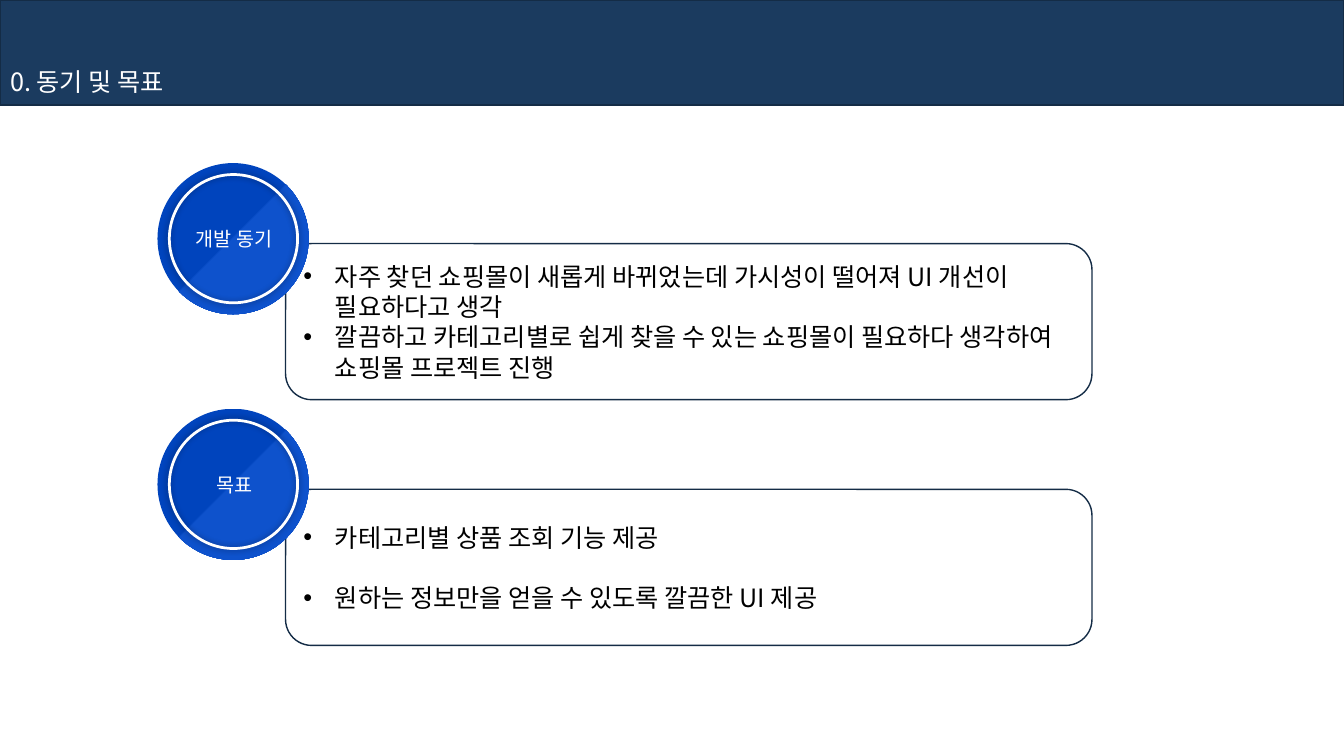
from copy import deepcopy

from lxml import etree
from pptx import Presentation
from pptx.dml.color import RGBColor
from pptx.enum.shapes import MSO_SHAPE as Shape
from pptx.enum.text import MSO_ANCHOR as Anchor, MSO_AUTO_SIZE as AutoSize, PP_ALIGN as Align
from pptx.oxml import parse_xml
from pptx.oxml.ns import nsdecls, qn
from pptx.util import Pt

FONT = "Noto Sans CJK KR"
NAVY = RGBColor(0x1B, 0x3B, 0x5F)
OUTLINE = RGBColor(0x14, 0x2C, 0x46)
BLUE = RGBColor(0x00, 0x44, 0xBD)
LIGHT_BLUE = RGBColor(0x0E, 0x52, 0xCC)
WHITE = RGBColor(0xFF, 0xFF, 0xFF)
BLACK = RGBColor(0x00, 0x00, 0x00)

BADGE_STOPS = [(0, BLUE), (0.49, BLUE), (0.5, LIGHT_BLUE), (1, LIGHT_BLUE)]
# Badge label, badge top, gap between items, items
SECTIONS = [
    ("개발 동기", 116.5, 0, [
        "자주 찾던 쇼핑몰이 새롭게 바뀌었는데 가시성이 떨어져 UI 개선이 필요하다고 생각",
        "깔끔하고 카테고리별로 쉽게 찾을 수 있는 쇼핑몰이 필요하다 생각하여 쇼핑몰 프로젝트 진행",
    ]),
    ("목표", 292, 21.5, [
        "카테고리별 상품 조회 기능 제공",
        "원하는 정보만을 얻을 수 있도록 깔끔한 UI 제공",
    ]),
]


def write_lines(holder, lines, size, color, align=Align.LEFT, gap=0):
    """Fill the holder with one paragraph per line, gap points apart."""
    frame = holder.text_frame
    frame.text = "\n".join(lines)
    frame.word_wrap = True
    frame.auto_size = AutoSize.NONE
    frame.vertical_anchor = Anchor.MIDDLE
    for index, para in enumerate(frame.paragraphs):
        para.alignment = align
        para.space_before = Pt(gap if index else 0)
        para.font.size = Pt(size)
        para.font.name = FONT
        para.font.color.rgb = color
        latin = para.font._element.find(qn("a:latin"))
        latin.addnext(parse_xml(f'<a:ea {nsdecls("a")} typeface="{FONT}"/>'))


def add_figure(kind, left, top, width, height):
    figure = slide.shapes.add_shape(kind, Pt(left), Pt(top), Pt(width), Pt(height))
    figure.shadow.inherit = False
    return figure


deck = Presentation()
deck.slide_width, deck.slide_height = Pt(960), Pt(540)
slide = deck.slides.add_slide(deck.slide_layouts.get_by_name("Two Content"))
title, *bodies = slide.placeholders

# Header band behind the title
band = add_figure(Shape.RECTANGLE, 0, 0, 960, 75)
band.fill.solid()
band.fill.fore_color.rgb = NAVY
band.line.color.rgb = OUTLINE
band.line.width = Pt(1)
title.element.addprevious(band.element)

title.left, title.top, title.width, title.height = Pt(0), Pt(44), Pt(347), Pt(29)
write_lines(title, ["0. 동기 및 목표"], 18, WHITE)

for body, (label, top, gap, items) in zip(bodies, SECTIONS):
    box_top = top + 57.5
    box = add_figure(Shape.ROUNDED_RECTANGLE, 204, box_top, 576, 111.5)
    box.fill.background()
    box.line.color.rgb = OUTLINE
    box.line.width = Pt(1)

    body.left, body.top, body.width, body.height = Pt(209.5), Pt(box_top), Pt(565), Pt(111.5)
    write_lines(body, items, 18, BLACK, gap=gap)
    for para in body.text_frame.paragraphs:
        properties = para._p.get_or_add_pPr()
        properties.set("marL", str(Pt(22.5)))
        properties.set("indent", str(-Pt(22.5)))
        bullet = etree.Element(qn("a:buChar"), char="•")
        properties.find(qn("a:defRPr")).addprevious(bullet)

    badge = add_figure(Shape.OVAL, 112.5, top, 108, 108)
    badge.line.fill.background()
    badge.fill.gradient()
    badge.fill.gradient_angle = 315
    stop_list = badge.element.spPr.find(".//" + qn("a:gsLst"))
    stop_list.extend([deepcopy(stop) for stop in stop_list])
    for stop, (position, color) in zip(badge.fill.gradient_stops, BADGE_STOPS):
        stop.position = position
        stop.color.rgb = color

    ring = add_figure(Shape.DONUT, 120, top + 7.2, 93.6, 93.6)
    ring.adjustments[0] = 0.021
    ring.fill.solid()
    ring.fill.fore_color.rgb = WHITE
    ring.line.fill.background()
    ring.element.spPr.find(qn("a:effectLst")).append(parse_xml(
        f'<a:outerShdw {nsdecls("a")} blurRad="{Pt(5)}" dist="0" dir="0" algn="ctr">'
        '<a:srgbClr val="000000"><a:alpha val="40000"/></a:srgbClr></a:outerShdw>'))

    caption = slide.shapes.add_textbox(Pt(121.5), Pt(top + 41.75), Pt(91.5), Pt(24.5))
    write_lines(caption, [label], 14, WHITE, Align.CENTER)

deck.save("out.pptx")
